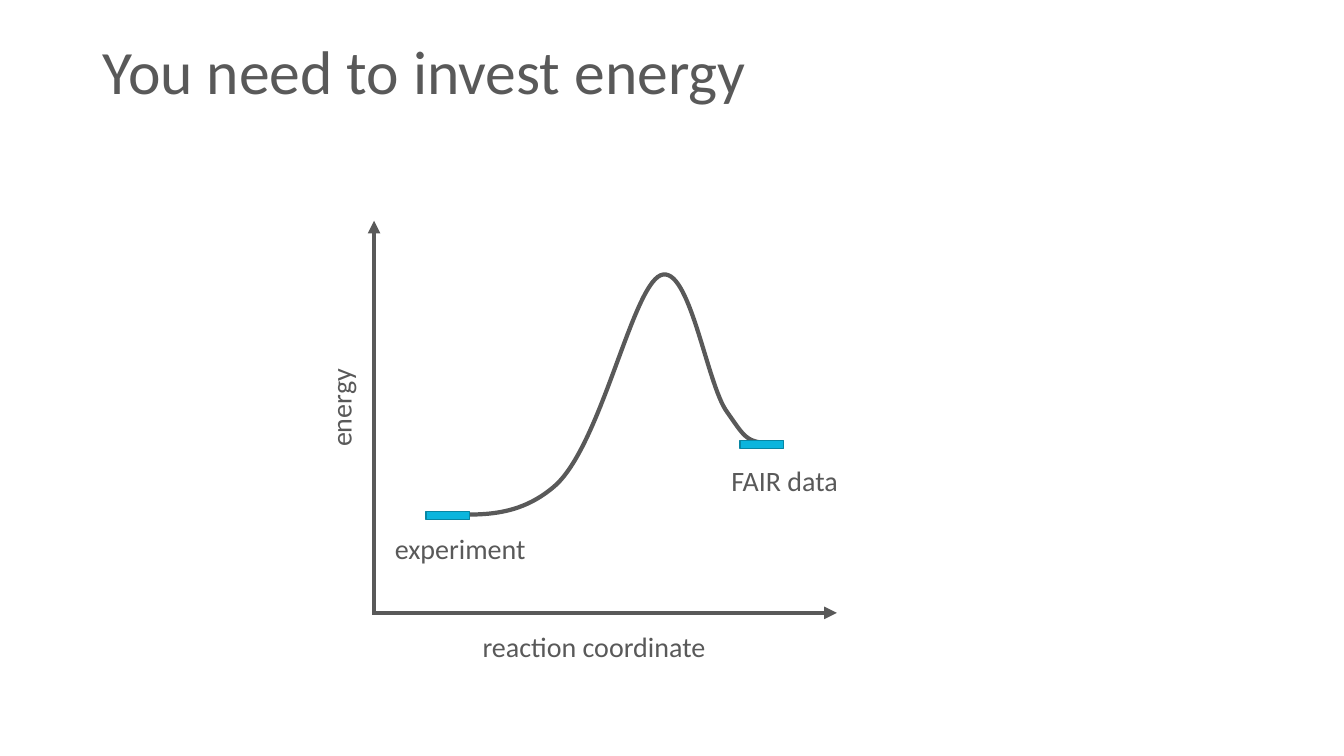
from lxml.etree import SubElement
from pptx import Presentation
from pptx.dml.color import RGBColor
from pptx.enum.shapes import MSO_CONNECTOR as Connector, MSO_SHAPE as Shape
from pptx.enum.text import MSO_ANCHOR as Anchor, MSO_AUTO_SIZE as AutoSize
from pptx.oxml.ns import qn
from pptx.util import Inches, Pt

SLIDE_WIDTH, SLIDE_HEIGHT = 13.33, 7.5
GREY, CYAN, TEAL = "595959", "0BB5DD", "0886A3"
TITLE_BOX = (0.92, 0.01, 11.5, 1.45)
PLOT_BOX = (3.71, 2.19, 4.59, 3.89)

AXES = [((-0.4, 100), (100, 100)), ((0, 100.5), (0, 0))]
CURVE_START = (88, 56.8)
CURVE_SEGMENTS = [
    ((80.4, 56.8), (80.6, 56), (76.3, 48.8)),
    ((71.9, 41.9), (68.2, 10.8), (61.9, 13.9)),
    ((55.6, 17.2), (49, 57.8), (38.8, 67.9)),
    ((28.8, 77.9), (18.3, 73.8), (11.5, 75.3)),
]
STATES = [(83.8, 57.1), (15.9, 75.2)]
STATE_SIZE = (9.4, 2.1)
LABEL_HEIGHT = 11.3
LABELS = [
    ("reaction coordinate", (47.9, 108.5), 53.2, 0),
    ("energy", (-7.2, 47.6), 21.4, 270),
    ("FAIR data", (88.9, 66.3), 27.7, 0),
    ("experiment", (18.8, 83.5), 32.9, 0),
]


def color(value):
    """Turn a hex string into a colour."""
    return RGBColor.from_string(value)


def place(box, point):
    """Turn percentages of a box into a position on the slide."""
    left, top, width, height = box
    return Inches(left + width * point[0] / 100), Inches(top + height * point[1] / 100)


def centered(box, center, size):
    """Return left, top, width and height of a part centred in percentages of a box."""
    left, top = place(box, [middle - length / 2 for middle, length in zip(center, size)])
    return left, top, Inches(box[2] * size[0] / 100), Inches(box[3] * size[1] / 100)


def style_line(line, value, width):
    """Set the colour and width of a line."""
    line.color.rgb = color(value)
    line.width = Pt(width)


def add_text(shapes, area, text, size):
    """Add a text box with one grey paragraph and return it."""
    shape = shapes.add_textbox(*area)
    paragraph = shape.text_frame.paragraphs[0]
    paragraph.text = text
    paragraph.font.name = "Calibri"
    paragraph.font.size = Pt(size)
    paragraph.font.color.rgb = color(GREY)
    return shape


def add_title(slide, box, text):
    """Add the slide title."""
    frame = add_text(slide.shapes, [Inches(length) for length in box], text, 44).text_frame
    frame.word_wrap = True
    frame.vertical_anchor = Anchor.MIDDLE
    frame.paragraphs[0].line_spacing = 0.9


def add_axis(shapes, box, start, end):
    """Add an axis with an arrowhead at its end."""
    axis = shapes.add_connector(Connector.STRAIGHT, *place(box, start), *place(box, end))
    style_line(axis.line, GREY, 3)
    SubElement(axis.line._get_or_add_ln(), qn("a:tailEnd"), type="triangle")
    SubElement(axis._element.spPr, qn("a:effectLst"))


def add_curve(shapes, box):
    """Add the energy curve, bending each straight segment into a cubic one."""
    builder = shapes.build_freeform(*place(box, CURVE_START))
    builder.add_line_segments([place(box, segment[-1]) for segment in CURVE_SEGMENTS], close=False)
    curve = builder.convert_to_shape()
    for straight, segment in zip(list(curve._element.iter(qn("a:lnTo"))), CURVE_SEGMENTS):
        outline = straight.getparent()
        cubic = SubElement(outline, qn("a:cubicBezTo"))
        for point in segment:
            left, top = place(box, point)
            SubElement(cubic, qn("a:pt"), x=str(left - curve.left), y=str(top - curve.top))
        outline.replace(straight, cubic)
    curve.shadow.inherit = False
    curve.fill.background()
    style_line(curve.line, GREY, 3)


def add_state(shapes, box, center):
    """Add the bar that marks an energy level."""
    bar = shapes.add_shape(Shape.RECTANGLE, *centered(box, center, STATE_SIZE))
    bar.shadow.inherit = False
    bar.fill.solid()
    bar.fill.fore_color.rgb = color(CYAN)
    style_line(bar.line, TEAL, 1)


def add_diagram(slide, box):
    """Add the energy diagram as a group of curve, axes, labels and states."""
    shapes = slide.shapes.add_group_shape().shapes
    add_curve(shapes, box)
    for start, end in AXES:
        add_axis(shapes, box, start, end)
    for text, center, width, rotation in LABELS:
        label = add_text(shapes, centered(box, center, (width, LABEL_HEIGHT)), text, 20)
        label.rotation = rotation
        label.text_frame.word_wrap = False
        label.text_frame.auto_size = AutoSize.SHAPE_TO_FIT_TEXT
    for center in STATES:
        add_state(shapes, box, center)


def main():
    """Build and save the presentation."""
    presentation = Presentation()
    presentation.slide_width = Inches(SLIDE_WIDTH)
    presentation.slide_height = Inches(SLIDE_HEIGHT)
    slide = presentation.slides.add_slide(presentation.slide_layouts[6])
    add_title(slide, TITLE_BOX, "You need to invest energy")
    add_diagram(slide, PLOT_BOX)
    presentation.save("out.pptx")


if __name__ == "__main__":
    main()
